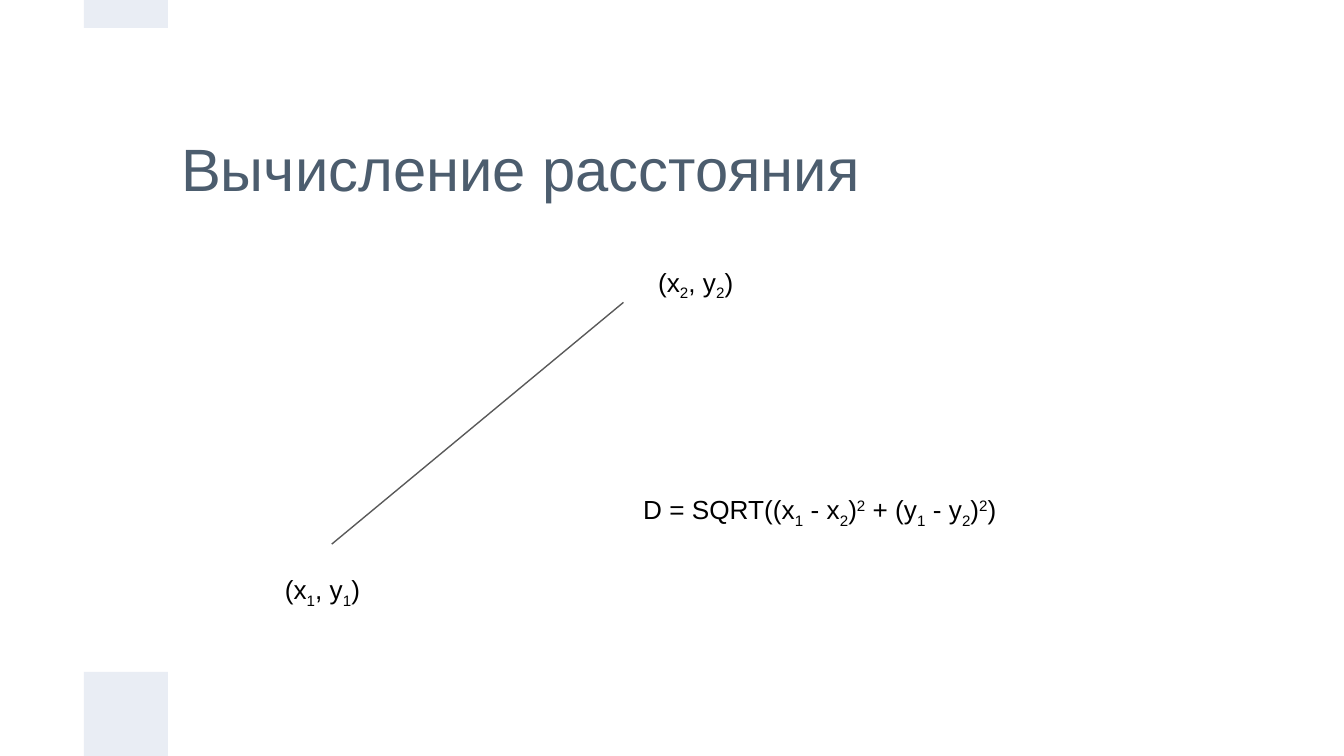
from lxml.etree import SubElement
from pptx import Presentation
from pptx.dml.color import RGBColor
from pptx.enum.shapes import MSO_CONNECTOR as CONNECTOR, MSO_SHAPE as SHAPE
from pptx.enum.text import MSO_ANCHOR as ANCHOR
from pptx.oxml.ns import qn
from pptx.util import Pt

COLORS = {"title": "4C5D6E", "text": "000000", "band": "E9EDF4", "segment": "595959"}
BASELINES = {"_": "-25000", "^": "30000"}


def color(name):
    """Return the named colour."""
    return RGBColor.from_string(COLORS[name])


def add_text(slide, box, pieces, size=14, ink="text", anchor=ANCHOR.TOP):
    """Add one line of text; a piece led by _ or ^ is a subscript or superscript."""
    label = slide.shapes.add_textbox(*map(Pt, box))
    frame = label.text_frame
    frame.word_wrap = True
    frame.vertical_anchor = anchor
    frame.margin_left = frame.margin_right = Pt(7.2)
    frame.margin_top = frame.margin_bottom = Pt(7.2)
    for piece in pieces:
        baseline = BASELINES.get(piece[0])
        run = frame.paragraphs[0].add_run()
        run.text = piece[1:] if baseline else piece
        run.font.name = "Arial"
        run.font.size = Pt(size)
        run.font.color.rgb = color(ink)
        if baseline:
            run.font._element.set("baseline", baseline)


def add_band(slide, top, height):
    """Add a pale block of the decorative left column."""
    band = slide.shapes.add_shape(SHAPE.RECTANGLE, Pt(45), Pt(top), Pt(45), Pt(height))
    band.shadow.inherit = False
    band.fill.solid()
    band.fill.fore_color.rgb = color("band")
    band.line.fill.background()


def add_segment(slide, start, end):
    """Add a straight line between two points."""
    segment = slide.shapes.add_connector(CONNECTOR.STRAIGHT, *map(Pt, start + end))
    segment.line.color.rgb = color("segment")
    segment.line.width = Pt(0.75)
    SubElement(segment._element.spPr, qn("a:effectLst"))


def add_point_label(slide, left, top, index):
    """Add the coordinates of a numbered point."""
    pieces = ["(x", f"_{index}", ", y", f"_{index}", ")"]
    add_text(slide, (left, top, 57, 31.5), pieces)


def main():
    """Build the slide and save it."""
    deck = Presentation()
    deck.slide_width, deck.slide_height = Pt(720), Pt(405)
    slide = deck.slides.add_slide(deck.slide_layouts[6])

    add_text(slide, (90, 45, 556.5, 90), ["Вычисление расстояния"],
             size=32, ink="title", anchor=ANCHOR.MIDDLE)
    add_band(slide, 360, 45)
    add_band(slide, 0, 15)

    formula = ["D = SQRT((x", "_1", " - x", "_2", ")", "^2",
               " + (y", "_1", " - y", "_2", ")", "^2", ")"]
    add_text(slide, (337.5, 257.25, 237, 31.5), formula)
    add_segment(slide, (177.75, 291.5), (334, 162))
    add_point_label(slide, 145.5, 300, 1)
    add_point_label(slide, 345.5, 135.25, 2)

    deck.save("out.pptx")


main()
